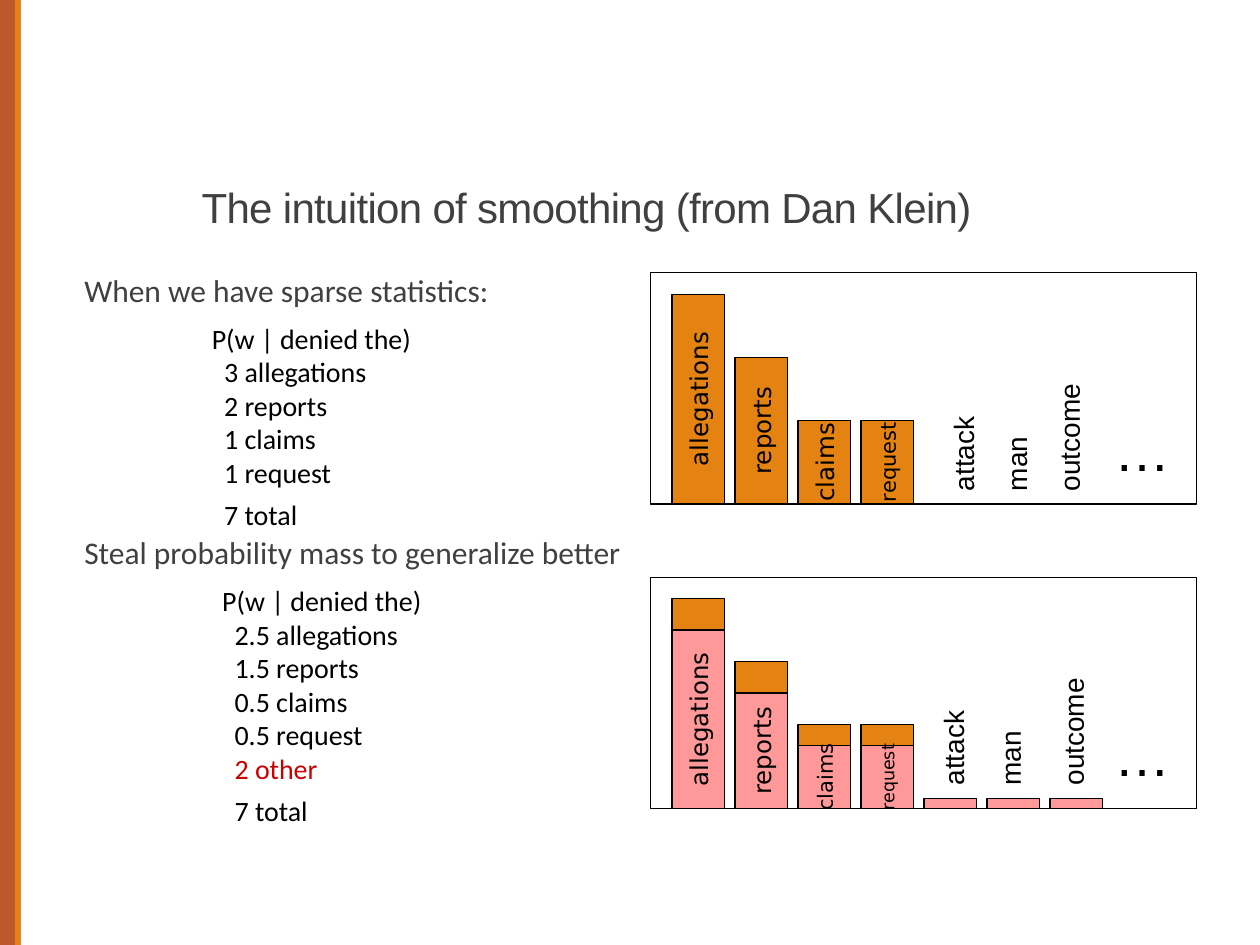
import dataclasses
import typing

import pptx
import pptx.dml.color
import pptx.enum.shapes
import pptx.enum.text
import pptx.util

Cm = pptx.util.Cm
Pt = pptx.util.Pt
Anchor = pptx.enum.text.MSO_ANCHOR
Align = pptx.enum.text.PP_ALIGN

BLACK, GREY, RED = "000000", "404040", "CC0000"
ORANGE, RUST, PINK = "E48312", "BD582C", "FF9999"
BAR_LEFT, BAR_PITCH, BAR_WIDTH = 13.55, 1.27, 1.06
PANEL_HEIGHT = 4.66


@dataclasses.dataclass
class Bar:
    column: int
    height: float
    fill: str
    word: str = ""
    size: float = 14


@dataclasses.dataclass
class Label:
    word: str
    center: float


@dataclasses.dataclass
class Histogram:
    bottom: float
    label_rise: float
    bars: list[Bar]
    labels: list[Label]


@dataclasses.dataclass
class CountList:
    left: float
    top: float
    height: float
    rows: list[str]


HISTOGRAMS = [
    Histogram(
        10.16, 1.6,
        [Bar(0, 4.23, ORANGE, "allegations"), Bar(1, 2.96, ORANGE, "reports"),
         Bar(2, 1.69, ORANGE, "claims"), Bar(3, 1.69, ORANGE, "request", 12)],
        [Label("attack", 19.42), Label("man", 20.49), Label("outcome", 21.55)],
    ),
    Histogram(
        16.3, 1.81,
        [Bar(0, 4.23, ORANGE), Bar(1, 2.96, ORANGE),
         Bar(2, 1.69, ORANGE), Bar(3, 1.69, ORANGE),
         Bar(0, 3.6, PINK, "allegations"), Bar(1, 2.33, PINK, "reports"),
         Bar(2, 1.27, PINK, "claims", 12), Bar(3, 1.27, PINK, "request", 10),
         *(Bar(column, 0.21, PINK) for column in (4, 5, 6))],
        [Label("attack", 19.22), Label("man", 20.36), Label("outcome", 21.63)],
    ),
]

COUNT_LISTS = [
    CountList(4.02, 6.35, 4.52,
              ["3 allegations", "2 reports", "1 claims", "1 request", "7 total"]),
    CountList(4.23, 11.64, 5.2,
              ["2.5 allegations", "1.5 reports", "0.5 claims", "0.5 request",
               "2 other", "7 total"]),
]


def color(value: str) -> pptx.dml.color.RGBColor:
    return pptx.dml.color.RGBColor.from_string(value)


def add_span(para: typing.Any, text: str, size: float, font: str,
             tint: str = BLACK) -> typing.Any:
    span = para.add_run()
    span.text = text
    span.font.size = Pt(size)
    span.font.name = font
    span.font.color.rgb = color(tint)
    return span


def add_rectangle(page: typing.Any, left: float, top: float, width: float,
                  height: float, fill: str = "", line: str = "") -> typing.Any:
    box = page.shapes.add_shape(pptx.enum.shapes.MSO_SHAPE.RECTANGLE,
                                Cm(left), Cm(top), Cm(width), Cm(height))
    box.shadow.inherit = False
    if fill:
        box.fill.solid()
        box.fill.fore_color.rgb = color(fill)
    else:
        box.fill.background()
    if line:
        box.line.color.rgb = color(line)
        box.line.width = Pt(0.75)
    else:
        box.line.fill.background()
    return box


def add_text_box(page: typing.Any, left: float, top: float, width: float,
                 height: float) -> typing.Any:
    box = page.shapes.add_textbox(Cm(left), Cm(top), Cm(width), Cm(height))
    box.text_frame.word_wrap = True
    return box


def add_title(page: typing.Any) -> None:
    title = page.shapes.title
    title.left, title.top, title.width, title.height = Cm(3.81), Cm(2.74), Cm(20.75), Cm(2.06)
    frame = title.text_frame
    frame.auto_size = pptx.enum.text.MSO_AUTO_SIZE.NONE
    frame.vertical_anchor = Anchor.BOTTOM
    para = frame.paragraphs[0]
    para.alignment = Align.LEFT
    para.line_spacing = 0.85
    span = add_span(para, "The intuition of smoothing (from Dan Klein)", 24, "Arial", GREY)
    span.font._element.set("spc", "-40")


def add_headings(page: typing.Any) -> None:
    frame = add_text_box(page, 1.7, 5.54, 11.42, 6.2).text_frame
    frame.margin_left = frame.margin_right = 0
    first, second = frame.paragraphs[0], frame.add_paragraph()
    second.space_before = Pt(135)
    for para, text in ((first, "When we have sparse statistics:"),
                       (second, "Steal probability mass to generalize better")):
        para.line_spacing = 0.7
        add_span(para, text, 18, "Calibri", GREY)


def add_count_list(page: typing.Any, counts: CountList) -> None:
    frame = add_text_box(page, counts.left, counts.top, 6.78, counts.height).text_frame
    add_span(frame.paragraphs[0], "P(w | denied the)", 16, "Calibri")
    for row in counts.rows:
        para = frame.add_paragraph()
        para._p.get_or_add_pPr().set("marL", str(Cm(0.25)))
        if row.endswith("total"):
            para.space_before = Pt(5)
        add_span(para, row, 16, "Calibri", RED if row.endswith("other") else BLACK)


def add_bar(page: typing.Any, bar: Bar, bottom: float) -> None:
    center_x = BAR_LEFT + bar.column * BAR_PITCH + BAR_WIDTH / 2
    center_y = bottom - bar.height / 2
    box = add_rectangle(page, center_x - bar.height / 2, center_y - BAR_WIDTH / 2,
                        bar.height, BAR_WIDTH, bar.fill, BLACK)
    box.rotation = 270
    if bar.word:
        frame = box.text_frame
        frame.word_wrap = False
        frame.vertical_anchor = Anchor.MIDDLE
        frame.paragraphs[0].alignment = Align.CENTER
        add_span(frame.paragraphs[0], bar.word, bar.size, "DejaVu Sans")


def add_label(page: typing.Any, label: Label, center_y: float) -> None:
    width, height = 3.18, 0.94
    box = add_text_box(page, label.center - width / 2, center_y - height / 2, width, height)
    box.rotation = 270
    add_span(box.text_frame.paragraphs[0], label.word, 16, "Arial")


def add_histogram(page: typing.Any, chart: Histogram) -> None:
    add_rectangle(page, 13.12, chart.bottom - PANEL_HEIGHT, 11, PANEL_HEIGHT, line=BLACK)
    for bar in chart.bars:
        add_bar(page, bar, chart.bottom)
    for label in chart.labels:
        add_label(page, label, chart.bottom - chart.label_rise)
    dots = add_text_box(page, 22.22, chart.bottom - 1.9, 1.48, 1.6)
    add_span(dots.text_frame.paragraphs[0], "…", 32, "Arial")


def main() -> None:
    deck = pptx.Presentation()
    deck.slide_width, deck.slide_height = Cm(25.4), Cm(19.05)
    page = deck.slides.add_slide(deck.slide_layouts[5])
    add_rectangle(page, 0, 0, 0.42, 19.05, RUST)
    add_rectangle(page, 0.3, 0, 0.12, 19.05, ORANGE)
    add_title(page)
    add_headings(page)
    for counts in COUNT_LISTS:
        add_count_list(page, counts)
    for chart in HISTOGRAMS:
        add_histogram(page, chart)
    deck.save("out.pptx")


if __name__ == "__main__":
    main()
